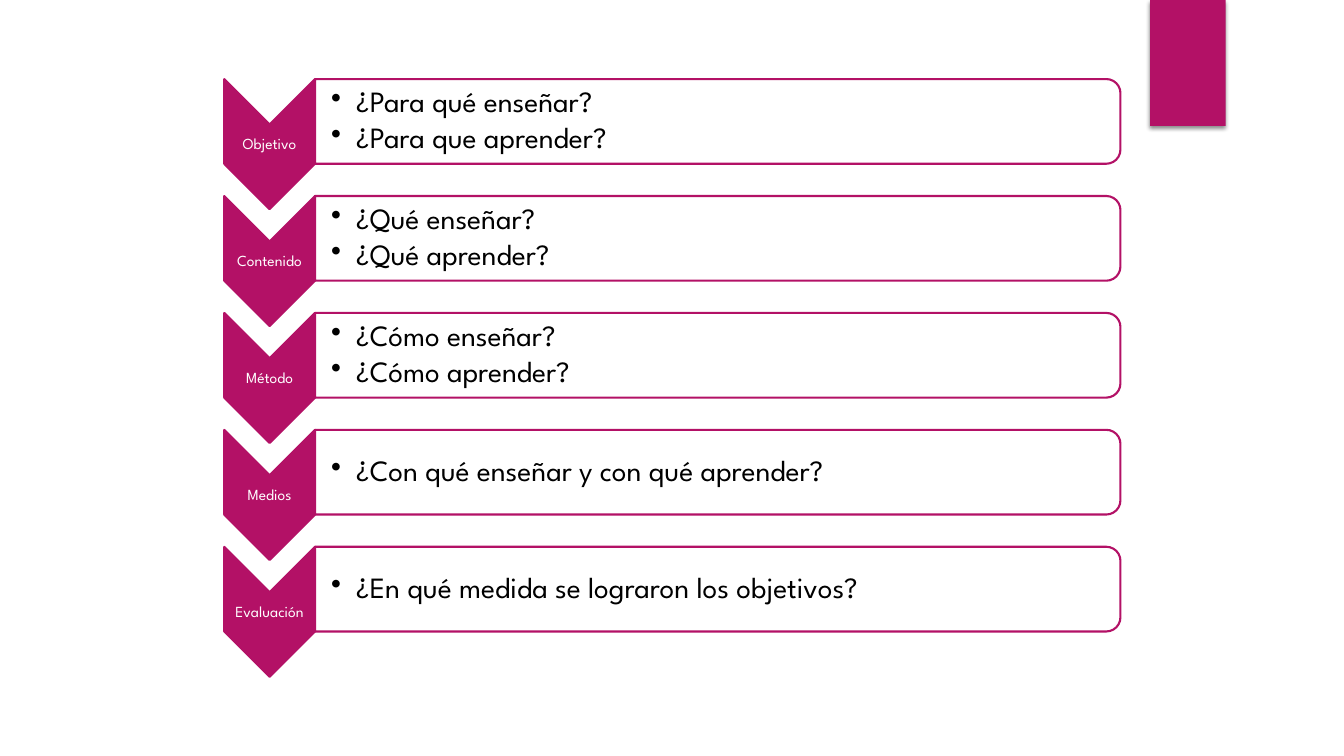
from dataclasses import dataclass

from lxml import etree
from pptx import Presentation
from pptx.dml.color import RGBColor
from pptx.enum.shapes import MSO_SHAPE
from pptx.enum.text import MSO_ANCHOR, PP_ALIGN
from pptx.oxml.ns import qn
from pptx.util import Pt

CHEVRON = MSO_SHAPE.CHEVRON
ROUNDED_TOP = MSO_SHAPE.ROUND_2_SAME_RECTANGLE
RECTANGLE = MSO_SHAPE.RECTANGLE
MIDDLE = MSO_ANCHOR.MIDDLE
LEFT, CENTER = PP_ALIGN.LEFT, PP_ALIGN.CENTER
BLANK_LAYOUT = 6


@dataclass(frozen=True)
class Theme:
    font: str = "League Spartan"
    accent: RGBColor = RGBColor(0xB3, 0x11, 0x66)
    white: RGBColor = RGBColor(0xFF, 0xFF, 0xFF)
    black: RGBColor = RGBColor(0, 0, 0)
    label_size: int = 11
    question_size: int = 21
    outline: float = 1.5


THEME = Theme()

ROWS = [
    ("Objetivo", ["¿Para qué enseñar?", "¿Para que aprender?"]),
    ("Contenido", ["¿Qué enseñar?", "¿Qué aprender?"]),
    ("Método", ["¿Cómo enseñar?", "¿Cómo aprender?"]),
    ("Medios", ["¿Con qué enseñar y con qué aprender?"]),
    ("Evaluación", ["¿En qué medida se lograron los objetivos?"]),
]
FIRST_TOP, ROW_PITCH = 56.5, 83.52
STEP_LEFT, STEP_WIDTH, STEP_HEIGHT = 160.2, 64.8, 92.9
PANEL_LEFT, PANEL_WIDTH, PANEL_HEIGHT = 225, 575.3, 60.5


def add_turned_shape(slide, kind, left, top, width, height, fill):
    """Place a shape turned a quarter clockwise so that it covers the given box."""
    shift = (width - height) / 2
    shape = slide.shapes.add_shape(
        kind, Pt(left + shift), Pt(top - shift), Pt(height), Pt(width))
    shape.rotation = 90
    shape.shadow.inherit = False
    shape.fill.solid()
    shape.fill.fore_color.rgb = fill
    shape.line.color.rgb = THEME.accent
    shape.line.width = Pt(THEME.outline)


def add_bullet(paragraph, indent):
    properties = paragraph._p.get_or_add_pPr()
    properties.set("marL", str(Pt(indent)))
    properties.set("indent", str(-Pt(indent)))
    etree.SubElement(properties, qn("a:buChar"), char="•")


def add_text(slide, lines, left, top, width, height, *, size, color,
             align=LEFT, inset=0.7, space_after=0, bullet_indent=None):
    box = slide.shapes.add_textbox(Pt(left), Pt(top), Pt(width), Pt(height))
    frame = box.text_frame
    frame.word_wrap = True
    frame.vertical_anchor = MIDDLE
    frame.margin_left = Pt(inset)
    frame.margin_right = frame.margin_top = frame.margin_bottom = Pt(0.7)
    for index, line in enumerate(lines):
        paragraph = frame.add_paragraph() if index else frame.paragraphs[0]
        paragraph.alignment = align
        paragraph.line_spacing = 0.9
        paragraph.space_after = Pt(space_after)
        if bullet_indent:
            add_bullet(paragraph, bullet_indent)
        run = paragraph.add_run()
        run.text = line
        run.font.name = THEME.font
        run.font.size = Pt(size)
        run.font.color.rgb = color


def add_corner_tab(slide):
    tab = slide.shapes.add_shape(RECTANGLE, Pt(821.5), Pt(0), Pt(54), Pt(90))
    tab.fill.solid()
    tab.fill.fore_color.rgb = THEME.accent
    tab.line.fill.background()
    tab.shadow.inherit = False
    effects = tab._element.spPr.find(qn("a:effectLst"))
    shadow = etree.SubElement(
        effects, qn("a:outerShdw"), blurRad=str(Pt(3)), dist=str(Pt(2)),
        dir="5400000", algn="ctr", rotWithShape="0")
    color = etree.SubElement(shadow, qn("a:srgbClr"), val=str(THEME.black))
    etree.SubElement(color, qn("a:alpha"), val="45000")


def add_row(slide, top, label, questions):
    add_turned_shape(slide, CHEVRON, STEP_LEFT, top, STEP_WIDTH, STEP_HEIGHT,
                     THEME.accent)
    add_text(slide, [label], STEP_LEFT, top + 32.8, STEP_WIDTH, 28,
             size=THEME.label_size, color=THEME.white, align=CENTER,
             space_after=3.85)
    add_turned_shape(slide, ROUNDED_TOP, PANEL_LEFT, top, PANEL_WIDTH,
                     PANEL_HEIGHT, THEME.white)
    add_text(slide, questions, PANEL_LEFT, top + 3.2, PANEL_WIDTH - 3, 54,
             size=THEME.question_size, color=THEME.black, inset=11.5,
             space_after=3.15, bullet_indent=18)


def main():
    presentation = Presentation()
    presentation.slide_width, presentation.slide_height = Pt(960), Pt(540)
    slide = presentation.slides.add_slide(
        presentation.slide_layouts[BLANK_LAYOUT])
    add_corner_tab(slide)
    for index, (label, questions) in enumerate(ROWS):
        add_row(slide, FIRST_TOP + index * ROW_PITCH, label, questions)
    presentation.save("out.pptx")


if __name__ == "__main__":
    main()
